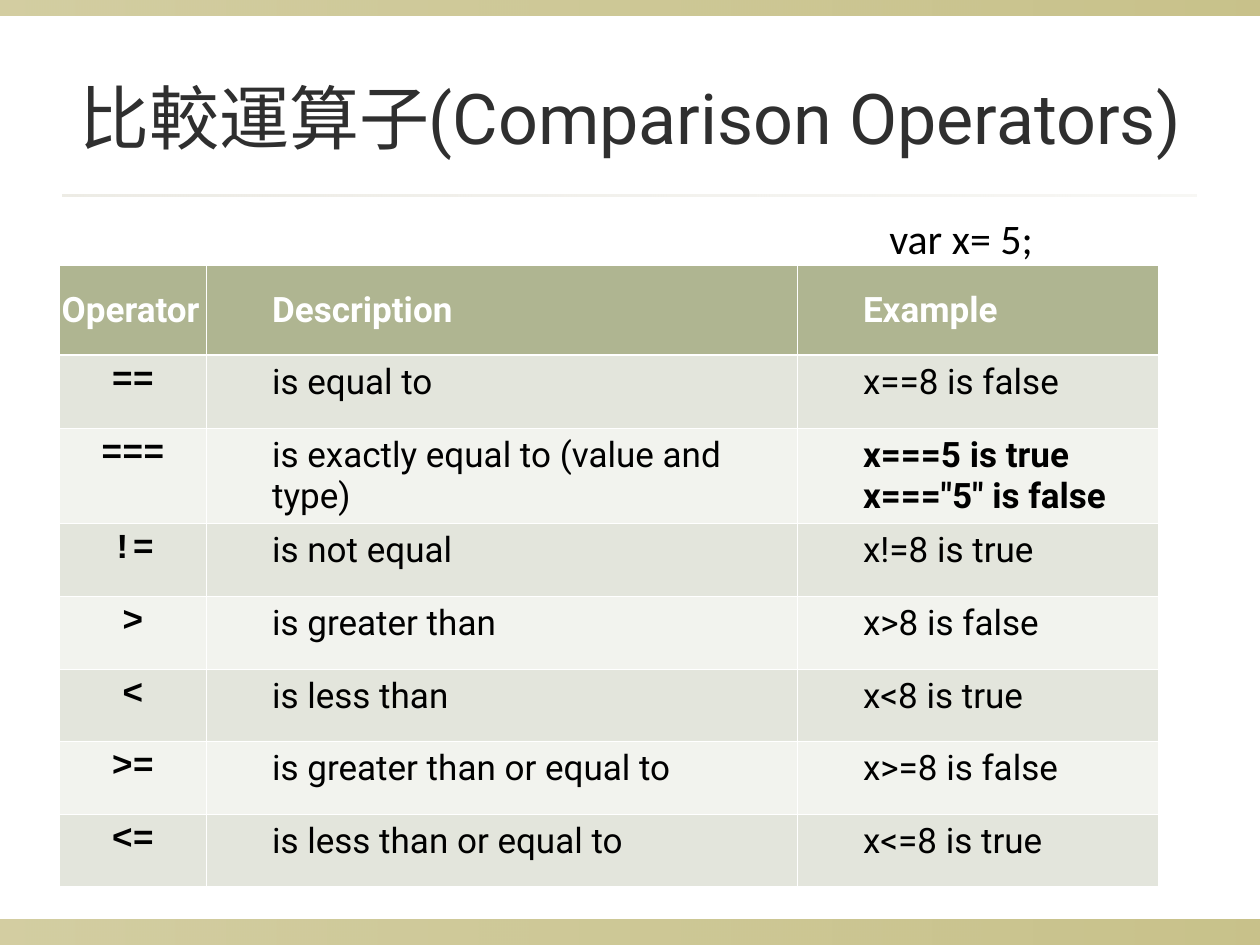
"""Build the slide about comparison operators with its table of examples."""
from typing import NamedTuple

from lxml.etree import SubElement
from pptx import Presentation
from pptx.dml.color import RGBColor
from pptx.enum.shapes import MSO_SHAPE
from pptx.enum.text import MSO_ANCHOR, MSO_AUTO_SIZE, PP_ALIGN
from pptx.oxml.ns import qn
from pptx.slide import Slide
from pptx.table import _Cell
from pptx.text.text import _Paragraph
from pptx.util import Inches, Pt

WHITE = RGBColor(0xFF, 0xFF, 0xFF)
BLACK = RGBColor(0x00, 0x00, 0x00)
CHARCOAL = RGBColor(0x2F, 0x2F, 0x2F)
OLIVE = RGBColor(0x91, 0x84, 0x15)
STONE = RGBColor(0xDC, 0xD9, 0xCC)
HEADER_GREEN = RGBColor(0xAF, 0xB5, 0x91)
DARK_BAND = RGBColor(0xE3, 0xE5, 0xDC)
LIGHT_BAND = RGBColor(0xF2, 0xF3, 0xEE)

THIN_BORDER = 0.45
HEADER_BORDER = 1.47


class Bar(NamedTuple):
    left: float
    top: float
    width: float
    height: float
    color: RGBColor
    opacities: tuple[int, int]


class Operator(NamedTuple):
    symbol: str
    description: str
    example: str
    bold_example: bool = False


BARS = [
    Bar(0, 7.3, 10, 0.2, OLIVE, (40, 50)),
    Bar(0, 0, 10, 0.12, OLIVE, (40, 50)),
    Bar(0.5, 1.54, 9, 0.02, STONE, (50, 20)),
]
HEADINGS = Operator("Operator", "Description", "Example")
OPERATORS = [
    Operator("==", "is equal to", "x==8 is false"),
    Operator("===", "is exactly equal to (value and type)",
             'x===5 is true\vx==="5" is false', True),
    Operator("!=", "is not equal", "x!=8 is true"),
    Operator(">", "is greater than", "x>8 is false"),
    Operator("<", "is less than", "x<8 is true"),
    Operator(">=", "is greater than or equal to", "x>=8 is false"),
    Operator("<=", "is less than or equal to", "x<=8 is true"),
]
COLUMN_WIDTHS = [1.17, 4.69, 2.86]
ROW_HEIGHTS = [0.71, 0.58, 0.71, 0.58, 0.58, 0.57, 0.58, 0.57]


def format_paragraph(paragraph: _Paragraph, name: str, size: float,
                     color: RGBColor, bold: bool = False) -> None:
    font = paragraph.font
    font.name = name
    font.size = Pt(size)
    font.bold = bold
    font.color.rgb = color


def draw_bar(slide: Slide, bar: Bar) -> None:
    shape = slide.shapes.add_shape(
        MSO_SHAPE.RECTANGLE, Inches(bar.left), Inches(bar.top),
        Inches(bar.width), Inches(bar.height))
    shape.shadow.inherit = False
    shape.line.fill.background()
    shape.fill.gradient()
    shape.fill.gradient_angle = 0
    stops = shape.fill.gradient_stops
    for stop, position, opacity in zip(stops, (0, 1), bar.opacities):
        stop.position = position
        stop.color.rgb = bar.color
    colors = shape.element.spPr.iter(qn("a:srgbClr"))
    for color, opacity in zip(colors, bar.opacities):
        SubElement(color, qn("a:alpha"), val=str(opacity * 1000))


def draw_borders(cell: _Cell, row: int) -> None:
    properties = cell._tc.get_or_add_tcPr()
    widths = {
        "a:lnL": THIN_BORDER,
        "a:lnR": THIN_BORDER,
        "a:lnT": HEADER_BORDER if row == 1 else THIN_BORDER,
        "a:lnB": HEADER_BORDER if row == 0 else THIN_BORDER,
    }
    for tag, width in widths.items():
        line = SubElement(properties, qn(tag), w=str(Pt(width)))
        fill = SubElement(line, qn("a:solidFill"))
        SubElement(fill, qn("a:srgbClr"), val=str(WHITE))


def fill_cell(cell: _Cell, row: int, column: int, operator: Operator) -> None:
    is_header = row == 0
    is_symbol = column == 0 and not is_header
    draw_borders(cell, row)
    cell.fill.solid()
    cell.fill.fore_color.rgb = (
        HEADER_GREEN if is_header else DARK_BAND if row % 2 else LIGHT_BAND)
    cell.margin_left = cell.margin_right = Inches(0.02)
    cell.margin_top = cell.margin_bottom = Inches(0.05)
    cell.vertical_anchor = MSO_ANCHOR.MIDDLE if is_header else MSO_ANCHOR.TOP
    cell.text_frame.text = operator[column]
    paragraph = cell.text_frame.paragraphs[0]
    paragraph.alignment = PP_ALIGN.CENTER if is_symbol else PP_ALIGN.LEFT
    if column > 0:
        paragraph.level = 1
        properties = paragraph._p.get_or_add_pPr()
        properties.set("marL", str(Inches(0.5)))
        properties.set("indent", "0")
    bold = is_header or is_symbol or (column == 2 and operator.bold_example)
    format_paragraph(paragraph, "Courier New" if is_symbol else "Roboto", 20,
                     WHITE if is_header else BLACK, bold)


def draw_operator_table(slide: Slide) -> None:
    rows = [HEADINGS, *OPERATORS]
    table = slide.shapes.add_table(
        len(rows), len(COLUMN_WIDTHS), Inches(0.47), Inches(2.11),
        Inches(sum(COLUMN_WIDTHS)), Inches(sum(ROW_HEIGHTS))).table
    table.horz_banding = False
    for column, width in zip(table.columns, COLUMN_WIDTHS):
        column.width = Inches(width)
    for row, height in zip(table.rows, ROW_HEIGHTS):
        row.height = Inches(height)
    for row, operator in enumerate(rows):
        for column in range(len(COLUMN_WIDTHS)):
            fill_cell(table.cell(row, column), row, column, operator)


def draw_title(slide: Slide) -> None:
    title = slide.shapes.title
    title.element.getparent().append(title.element)
    title.left, title.top = Inches(0.5), Inches(0.3)
    title.width, title.height = Inches(9), Inches(1.25)
    frame = title.text_frame
    frame.text = "比較運算子(Comparison Operators)"
    frame.word_wrap = True
    frame.auto_size = MSO_AUTO_SIZE.NONE
    frame.vertical_anchor = MSO_ANCHOR.MIDDLE
    frame.paragraphs[0].alignment = PP_ALIGN.CENTER
    format_paragraph(frame.paragraphs[0], "Roboto", 40, CHARCOAL)


def draw_declaration(slide: Slide) -> None:
    box = slide.shapes.add_textbox(
        Inches(6.96), Inches(1.64), Inches(1.34), Inches(0.5))
    frame = box.text_frame
    frame.word_wrap = False
    frame.auto_size = MSO_AUTO_SIZE.SHAPE_TO_FIT_TEXT
    frame.text = "var x= 5;"
    format_paragraph(frame.paragraphs[0], "Calibri", 24, BLACK)


def main() -> None:
    presentation = Presentation()
    presentation.slide_width = Inches(10)
    presentation.slide_height = Inches(7.5)
    slide = presentation.slides.add_slide(presentation.slide_layouts[5])
    for bar in BARS:
        draw_bar(slide, bar)
    draw_title(slide)
    draw_operator_table(slide)
    draw_declaration(slide)
    presentation.save("out.pptx")


if __name__ == "__main__":
    main()
